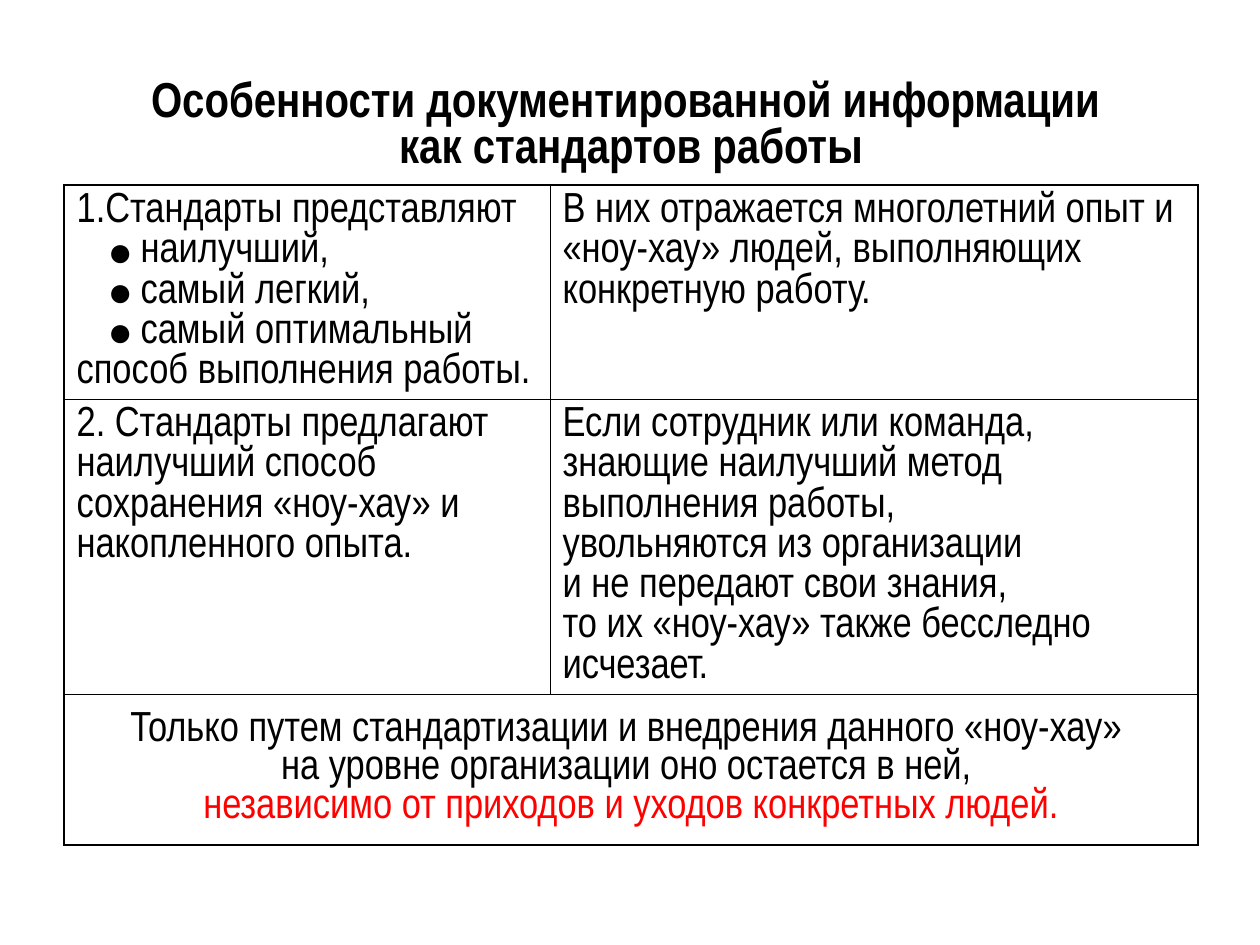
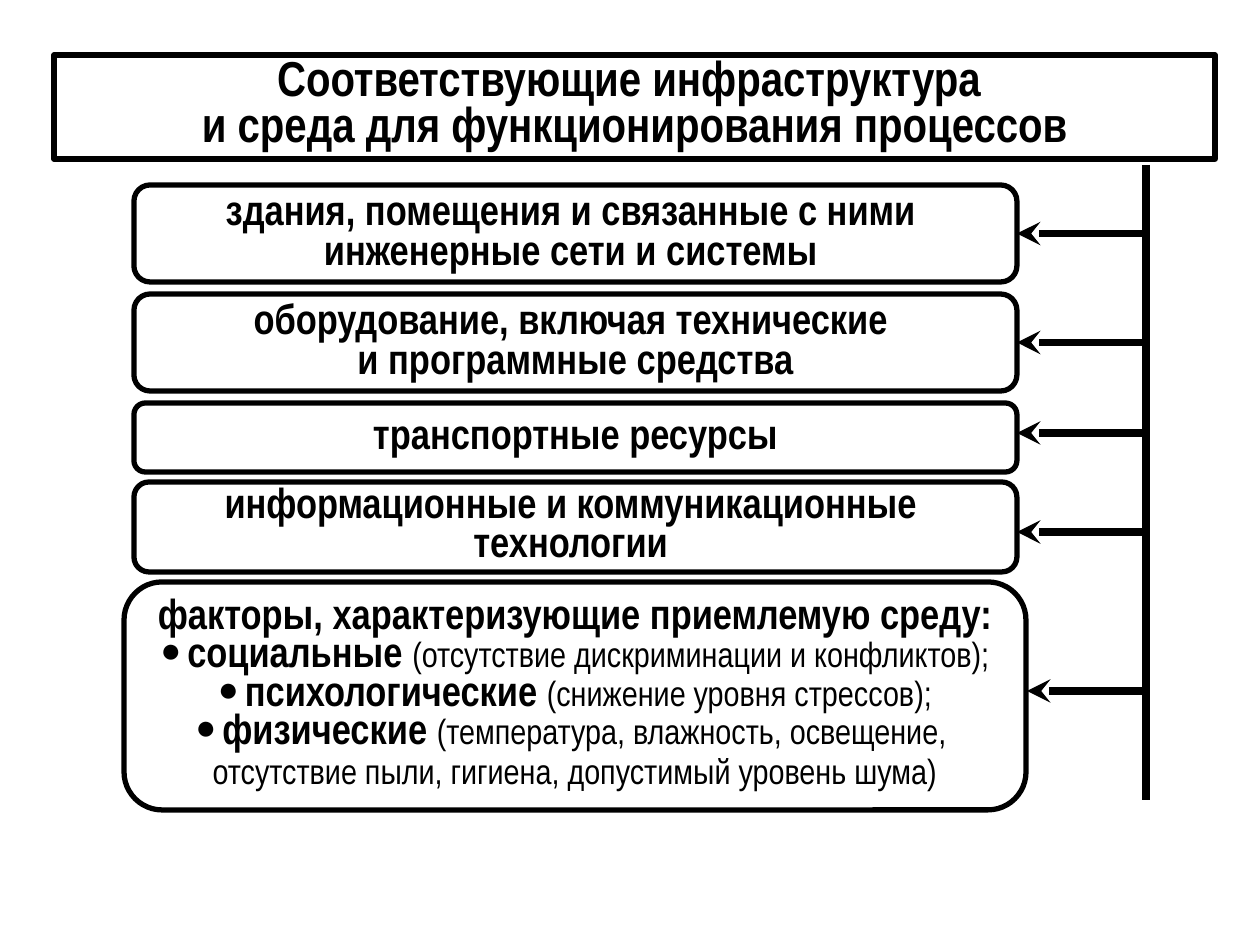
from dataclasses import dataclass
from lxml.etree import SubElement
from pptx import Presentation
from pptx.dml.color import RGBColor
from pptx.enum.shapes import MSO_CONNECTOR, MSO_SHAPE
from pptx.enum.text import MSO_ANCHOR, PP_ALIGN
from pptx.oxml.ns import qn
from pptx.util import Emu, Pt

BLACK = RGBColor(0x00, 0x00, 0x00)
WHITE = RGBColor(0xFF, 0xFF, 0xFF)
RED = RGBColor(0xFF, 0x00, 0x00)
PX = 914400 / 126


def px(n):
    return Emu(round(n * PX))


@dataclass
class Bullet:
    margin: int
    hang: int
    percent: int


@dataclass
class Para:
    text: str = ""
    note: str = ""
    bullet: Bullet = None
    color: RGBColor = BLACK


class Deck:
    font = "Arial Narrow"
    bullet_font = "Times New Roman"
    title_size, body_size, note_size = 28, 24, 20
    outer, inner = Pt(1.08), Pt(0.45)

    def __init__(self):
        self.prs = Presentation()
        self.prs.slide_width, self.prs.slide_height = px(1260), px(945)
        self.s = None

    def slide(self):
        self.s = self.prs.slides.add_slide(self.prs.slide_layouts[6])

    def add_bullet(self, p, bullet):
        pPr = p._p.get_or_add_pPr()
        pPr.set("marL", str(px(bullet.margin)))
        pPr.set("indent", str(-px(bullet.hang)))
        SubElement(pPr, qn("a:buSzPct"), val=str(bullet.percent * 1000))
        SubElement(pPr, qn("a:buFont"), typeface=self.bullet_font)
        SubElement(pPr, qn("a:buChar"), char="●")

    def fill_text(self, tf, paras, spacing, size=body_size, bold=False,
                  align=PP_ALIGN.CENTER):
        for i, para in enumerate(paras):
            if isinstance(para, str):
                para = Para(para)
            p = tf.paragraphs[0] if i == 0 else tf.add_paragraph()
            if para.bullet:
                self.add_bullet(p, para.bullet)
            p.alignment = align
            p.line_spacing = spacing
            p.text = para.text
            for r in p.runs:
                self.style(r, size, bold, para.color)
            if para.note:
                r = p.add_run()
                r.text = para.note
                self.style(r, self.note_size, False, para.color)

    def style(self, r, size, bold, color):
        r.font.name, r.font.size, r.font.bold = self.font, Pt(size), bold
        r.font.color.rgb = color

    def frame(self, sp, anchor):
        tf = sp.text_frame
        tf.word_wrap = True
        tf.vertical_anchor = anchor
        return tf

    def title(self, x, y, w, h, paras, framed=False):
        if framed:
            sp = self.shape(MSO_SHAPE.RECTANGLE, x, y, w, h)
            sp.fill.background()
        else:
            sp = self.s.shapes.add_textbox(px(x), px(y), px(w), px(h))
        self.fill_text(self.frame(sp, MSO_ANCHOR.TOP), paras, Pt(26),
                       self.title_size, True)

    def shape(self, kind, x, y, w, h):
        sp = self.s.shapes.add_shape(kind, px(x), px(y), px(w), px(h))
        sp.shadow.inherit = False
        sp.fill.solid()
        sp.fill.fore_color.rgb = WHITE
        sp.line.color.rgb = BLACK
        sp.line.width = Pt(3)
        return sp

    def box(self, x, y, w, h, paras, spacing, anchor=MSO_ANCHOR.MIDDLE):
        sp = self.shape(MSO_SHAPE.ROUNDED_RECTANGLE, x, y, w, h)
        self.fill_text(self.frame(sp, anchor), paras, spacing, bold=True)
        return sp

    def line(self, x1, y1, x2, y2, arrow=False):
        c = self.s.shapes.add_connector(MSO_CONNECTOR.STRAIGHT,
                                        px(x1), px(y1), px(x2), px(y2))
        c.line.color.rgb = BLACK
        c.line.width = Pt(4.5)
        if arrow:
            SubElement(c.line._get_or_add_ln(), qn("a:tailEnd"), type="stealth")
        SubElement(c._element.spPr, qn("a:effectLst"))
        return c

    def table(self, x, y, widths, heights):
        t = self.s.shapes.add_table(len(heights), len(widths), px(x), px(y),
                                    px(sum(widths)), px(sum(heights))).table
        t.first_row = t.horz_banding = False
        for col, w in zip(t.columns, widths):
            col.width = px(w)
        for row, h in zip(t.rows, heights):
            row.height = px(h)
        return t

    def cell(self, cell, paras, spacing, **kw):
        cell.margin_left = cell.margin_right = Pt(7.2)
        cell.margin_top = cell.margin_bottom = Pt(3.6)
        self.fill_text(cell.text_frame, paras, spacing, **kw)

    def borders(self, t):
        rows, cols = len(t.rows), len(t.columns)
        for r in range(rows):
            for c in range(cols):
                cell = t.cell(r, c)
                cell.fill.background()
                outside = {"L": c == 0, "R": c == cols - 1 or cell.is_merge_origin,
                           "T": r == 0, "B": r == rows - 1}
                if cell.is_spanned:
                    del outside["L"]
                tcPr = cell._tc.get_or_add_tcPr()
                for i, (side, is_outer) in enumerate(outside.items()):
                    ln = SubElement(tcPr, qn(f"a:ln{side}"),
                                    w=str(self.outer if is_outer else self.inner))
                    fill = SubElement(ln, qn("a:solidFill"))
                    SubElement(fill, qn("a:srgbClr"), val=str(BLACK))
                    tcPr.insert(i, ln)


def standards_slide(deck):
    deck.slide()
    deck.title(64, 76, 1134, 89, [
        "Особенности документированной информации \vкак стандартов работы"])
    item = Bullet(64, 33, 100)
    rows = [
        (["1.Стандарты представляют",
          Para("наилучший,", bullet=item),
          Para("самый легкий,", bullet=item),
          Para("самый оптимальный", bullet=item),
          "способ выполнения работы."],
         ["В них отражается многолетний опыт и «ноу-хау» людей, "
          "выполняющих конкретную работу."]),
        (["2. Стандарты предлагают \vнаилучший способ сохранения «ноу-хау» "
          "и накопленного опыта."],
         ["Если сотрудник или команда,",
          "знающие наилучший метод выполнения работы,",
          "увольняются из организации",
          "и не передают свои знания,",
          "то их «ноу-хау» также бесследно исчезает."]),
    ]
    t = deck.table(64, 185, [486, 648], [214, 295, 151])
    for r, row in enumerate(rows):
        for c, paras in enumerate(row):
            deck.cell(t.cell(r, c), paras, Pt(23), align=PP_ALIGN.LEFT)
    summary = t.cell(2, 0)
    summary.merge(t.cell(2, 1))
    summary.vertical_anchor = MSO_ANCHOR.MIDDLE
    deck.cell(summary, [
        "Только путем стандартизации и внедрения данного «ноу-хау» ",
        "на уровне организации оно остается в ней, ",
        Para("независимо от приходов и уходов конкретных людей.", color=RED),
    ], Pt(22))
    deck.borders(t)


def infrastructure_slide(deck):
    deck.slide()
    rail_x, box_x, box_w = 1146, 134, 883
    deck.line(rail_x, 165, rail_x, 800)
    resources = [
        (185, 97, 0.8, None, ["здания, помещения и связанные с ними ",
                              "инженерные сети и системы "]),
        (294, 97, 0.8, None, ["оборудование, включая технические ",
                              "и программные средства"]),
        (403, 69, 0.8, 433, ["транспортные ресурсы"]),
        (482, 90, Pt(22), 532, ["информационные и коммуникационные ",
                                "технологии "]),
    ]
    for y, h, spacing, arrow_y, paras in resources:
        sp = deck.box(box_x, y, box_w, h, paras, spacing)
        end_y = arrow_y or y + h / 2
        arrow = deck.line(rail_x, end_y, box_x + box_w, end_y, arrow=True)
        if arrow_y is None:
            arrow.end_connect(sp, 3)
    deck.title(54, 55, 1161, 104, ["Соответствующие инфраструктура ",
                                   "и среда для функционирования процессов"],
               framed=True)
    factor = Bullet(27, 27, 83)
    deck.box(124, 582, 902, 228, [
        "факторы, характеризующие приемлемую среду:",
        Para("социальные ", "(отсутствие дискриминации и конфликтов);", factor),
        Para("психологические ", "(снижение уровня стрессов);", factor),
        Para("физические ", "(температура, влажность, освещение, ", factor),
        Para(note="отсутствие пыли, гигиена, допустимый уровень шума)"),
    ], Pt(22), MSO_ANCHOR.TOP)
    deck.line(rail_x, 691, 1027, 691, arrow=True)


def main():
    deck = Deck()
    standards_slide(deck)
    infrastructure_slide(deck)
    deck.prs.save("out.pptx")


if __name__ == "__main__":
    main()
